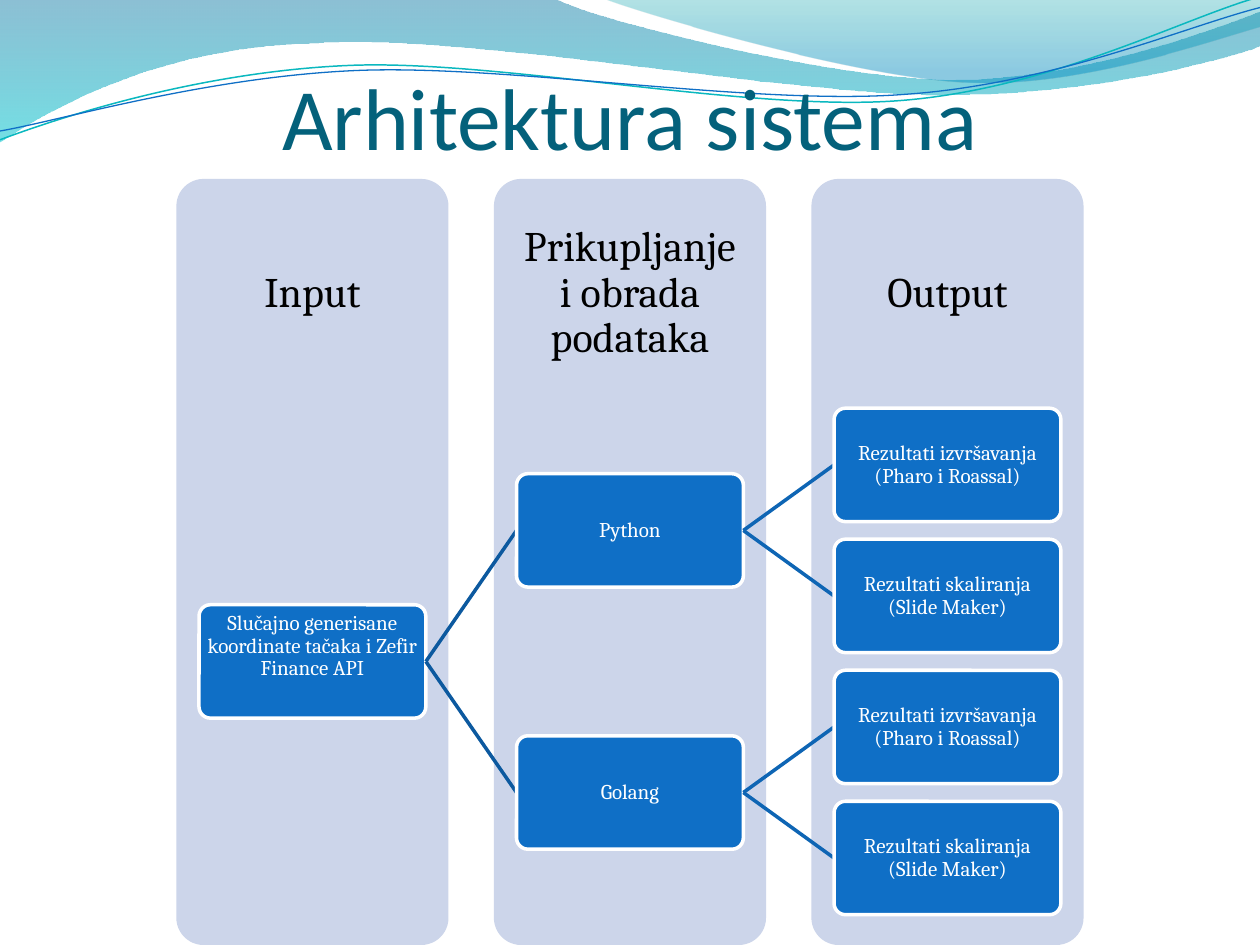
from lxml import etree
from pptx import Presentation
from pptx.dml.color import RGBColor
from pptx.enum.shapes import MSO_CONNECTOR, MSO_SHAPE
from pptx.enum.text import MSO_ANCHOR, PP_ALIGN
from pptx.oxml.ns import qn
from pptx.util import Inches, Pt

ROUND, STRAIGHT = MSO_SHAPE.ROUNDED_RECTANGLE, MSO_CONNECTOR.STRAIGHT
CENTER, MIDDLE, BOTTOM = PP_ALIGN.CENTER, MSO_ANCHOR.MIDDLE, MSO_ANCHOR.BOTTOM

# Content
TITLE = "Arhitektura sistema"
COLUMNS = ["Input", "Prikupljanje i obrada podataka", "Output"]
RESULTS = ["Rezultati izvršavanja (Pharo i Roassal)",
           "Rezultati skaliranja (Slide Maker)"]
SOURCE = "Slučajno generisane koordinate tačaka i Zefir Finance API"
TREE = (SOURCE, [(name, [(result, []) for result in RESULTS])
                 for name in ("Python", "Golang")])

# Waves: a start point, then lines (one point) and Bezier curves (three points)
BANDS = [
    dict(start=(0, 0), stops=[(0, "0074A1", 45), (1, "00C6CF", 55)], steps=[
        [(4.4, -0.01)],
        [(4.76, 0.17), (6.64, 0.63), (7.58, 0.63)],
        [(8.53, 0.63), (9.58, 0.26), (10, 0.09)],
        [(10.01, 0.36)],
        [(9.83, 0.44), (8.7, 0.76), (7.46, 0.75)],
        [(6.22, 0.75), (3.82, 0.28), (2.57, 0.34)],
        [(1.29, 0.36), (0.46, 0.83), (-0.01, 1.13)]]),
    dict(start=(4.79, -0.01), stops=[(0, "00A1A9", 30), (0.8, "008BBF", 45)], steps=[
        [(5.09, 0.11), (6.82, 0.62), (7.69, 0.65)],
        [(8.56, 0.69), (9.61, 0.32), (10, 0.21)],
        [(10, 0)]]),
]
STRANDS = [
    dict(start=(0, 1.11), line=("0AB8BF", 0.85), steps=[
        [(0.48, 0.93), (1.58, 0.57), (2.77, 0.52)],
        [(3.95, 0.47), (5.93, 0.89), (7.13, 0.8)],
        [(8.33, 0.71), (9.38, 0.15), (9.98, -0.02)]]),
    dict(start=(0, 1.04), line=("0F6FC6", 0.75), steps=[
        [(0.47, 0.96), (1.64, 0.61), (2.83, 0.56)],
        [(4.03, 0.51), (5.97, 0.84), (7.17, 0.75)],
        [(8.36, 0.67), (9.41, 0.21), (10, 0.06)]]),
]

# Layout
COL_LEFT, COL_STEP, COL_TOP, COL_W, COL_H, HEAD_H = 1.4, 2.52, 1.42, 2.16, 6.08, 1.82
BOX_W, BOX_H, BOX_TOP, BOX_STEP = 1.8, 0.9, 3.24, 1.04
BOX_INDENT = (COL_W - BOX_W) / 2
HEAD_INSET = 0.13
LINK_COLORS = ["0C599F", "0E65B4"]

HEAD_FONT = dict(name="Cambria", size=Pt(24), color="000000")
BOX_FONT = dict(name="Cambria", size=Pt(12), color="FFFFFF")
TITLE_FONT = dict(name="Calibri", size=Pt(50), color="04617B")


def rgb(value):
    return RGBColor.from_string(value)


def set_line(s, color, width):
    s.line.color.rgb = rgb(color)
    s.line.width = Pt(width)


def write(s, text, font, insets=(0, 0, 0, 0), anchor=MIDDLE, spacing=0.9):
    tf = s.text_frame
    tf.word_wrap, tf.vertical_anchor = True, anchor
    for side, inset in zip(("left", "top", "right", "bottom"), insets):
        setattr(tf, "margin_" + side, Inches(inset))
    p = tf.paragraphs[0]
    p.alignment, p.line_spacing = CENTER, spacing
    r = p.add_run()
    r.text = text
    for key, value in font.items():
        if key == "color":
            r.font.color.rgb = rgb(value)
        else:
            setattr(r.font, key, value)


def add_wave(wave, close):
    """Outline all points, then join each group of three into one curve."""
    start, *points = [(Inches(x), Inches(y))
                      for step in [[wave["start"]]] + wave["steps"] for x, y in step]
    builder = shapes.build_freeform(*start, scale=1.0)
    builder.add_line_segments(points, close=close)
    s = builder.convert_to_shape()
    s.shadow.inherit = False
    segments = iter(list(s._element.spPr.iter(qn("a:lnTo"))))
    for step in wave["steps"]:
        first, *others = [next(segments) for _ in step]
        if others:
            curve = etree.Element(qn("a:cubicBezTo"))
            first.addprevious(curve)
            for segment in (first, *others):
                curve.append(segment[0])
                segment.getparent().remove(segment)
    return s


def add_round(left, top, width, height, fill):
    s = shapes.add_shape(ROUND, Inches(left), Inches(top), Inches(width), Inches(height))
    s.adjustments[0] = 0.1
    s.shadow.inherit = False
    s.fill.solid()
    s.fill.fore_color.rgb = rgb(fill)
    return s


def add_link(x1, y1, x2, y2, color):
    s = shapes.add_connector(STRAIGHT, Inches(x1), Inches(y1), Inches(x2), Inches(y2))
    set_line(s, color, 2)
    etree.SubElement(s._element.spPr, qn("a:effectLst"))


def leaf_count(node):
    return sum(map(leaf_count, node[1])) or 1


def add_node(node, level=0, first_leaf=0, parent=None):
    """Place a node midway between its leaves, then its children."""
    text, children = node
    left = COL_LEFT + level * COL_STEP + BOX_INDENT
    top = BOX_TOP + BOX_STEP * (first_leaf + (leaf_count(node) - 1) / 2)
    middle = top + BOX_H / 2
    if parent:
        add_link(*parent, left, middle, LINK_COLORS[level - 1])
    s = add_round(left, top, BOX_W, BOX_H, "0F6FC6")
    set_line(s, "FFFFFF", 2)
    write(s, text, BOX_FONT, insets=(0, 0, 0, 0 if parent else 0.24))
    for child in children:
        add_node(child, level + 1, first_leaf, (left + BOX_W, middle))
        first_leaf += leaf_count(child)


prs = Presentation()
prs.slide_width, prs.slide_height = Inches(10), Inches(7.5)
shapes = prs.slides.add_slide(prs.slide_layouts[6]).shapes

# Waves at the top
for band in BANDS:
    s = add_wave(band, close=True)
    s.line.fill.background()
    s.fill.gradient()
    s.fill.gradient_angle = 270
    for stop, (position, color, _) in zip(s.fill.gradient_stops, band["stops"]):
        stop.position = position
        stop.color.rgb = rgb(color)
    for clr, (_, _, opacity) in zip(s._element.spPr.iter(qn("a:srgbClr")), band["stops"]):
        etree.SubElement(clr, qn("a:alpha"), val=str(opacity * 1000))
for strand in STRANDS:
    s = add_wave(strand, close=False)
    s.fill.background()
    set_line(s, *strand["line"])

# Title
title = shapes.add_textbox(Inches(0.5), Inches(0.33), Inches(9), Inches(1))
write(title, TITLE, TITLE_FONT, insets=(0, 0.05, 0, 0), anchor=BOTTOM, spacing=1.0)

# Columns with headings
for i, heading in enumerate(COLUMNS):
    s = add_round(COL_LEFT + i * COL_STEP, COL_TOP, COL_W, COL_H, "CCD5EA")
    s.line.fill.background()
    write(s, heading, HEAD_FONT,
          insets=(HEAD_INSET,) * 3 + (COL_H - HEAD_H + HEAD_INSET,))

# Tree of boxes
add_node(TREE)

prs.save("out.pptx")
